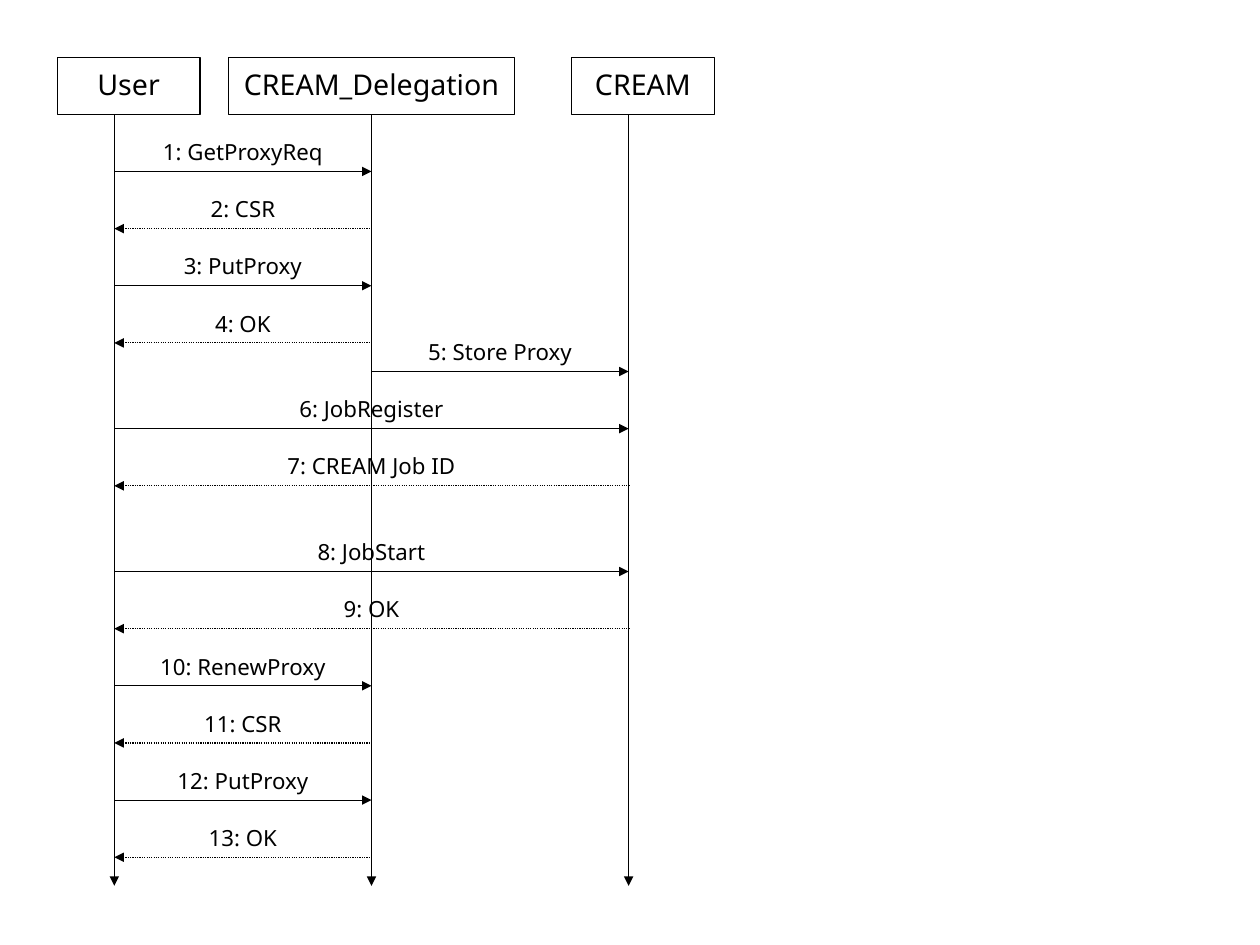
from lxml.etree import SubElement
from pptx import Presentation
from pptx.dml.color import RGBColor
from pptx.enum.dml import MSO_LINE as Dash
from pptx.enum.shapes import MSO_CONNECTOR as Connector, MSO_SHAPE as Preset
from pptx.enum.text import MSO_ANCHOR as Anchor, MSO_AUTO_SIZE as AutoSize, PP_ALIGN as Align
from pptx.oxml.ns import qn
from pptx.util import Pt

FONT = "Noto Sans"
INK = "000000"
PAPER = "FFFFFF"
LINE_WIDTH = 0.75
LABEL_HEIGHT = 24

PARTICIPANTS = [
    ("User", 36, 90, 72),
    ("CREAM_Delegation", 144, 180, 234),
    ("CREAM", 360, 90, 396),
]
LIFELINES = {name: lifeline for name, _, _, lifeline in PARTICIPANTS}
MESSAGES = [
    ("1: GetProxyReq", "User", "CREAM_Delegation", 108, False),
    ("2: CSR", "User", "CREAM_Delegation", 144, True),
    ("3: PutProxy", "User", "CREAM_Delegation", 180, False),
    ("4: OK", "User", "CREAM_Delegation", 216, True),
    ("5: Store Proxy", "CREAM_Delegation", "CREAM", 234, False),
    ("6: JobRegister", "User", "CREAM", 270, False),
    ("7: CREAM Job ID", "User", "CREAM", 306, True),
    ("8: JobStart", "User", "CREAM", 360, False),
    ("9: OK", "User", "CREAM", 396, True),
    ("10: RenewProxy", "User", "CREAM_Delegation", 432, False),
    ("11: CSR", "User", "CREAM_Delegation", 468, True),
    ("12: PutProxy", "User", "CREAM_Delegation", 504, False),
    ("13: OK", "User", "CREAM_Delegation", 540, True),
]


def color(value):
    """Turn a hex string into a colour."""
    return RGBColor.from_string(value)


def write(shape, text, size, anchor, wrap):
    """Put one centred line of text into a shape."""
    frame = shape.text_frame
    frame.word_wrap = wrap
    frame.vertical_anchor = anchor
    paragraph = frame.paragraphs[0]
    paragraph.alignment = Align.CENTER
    paragraph.line_spacing = 0.97
    run = paragraph.add_run()
    run.text = text
    run.font.name = FONT
    run.font.size = Pt(size)
    run.font.color.rgb = color(INK)


def add_arrow(shapes, start, end, reply=False):
    """Draw a solid arrow, or a dotted one pointing back to its start."""
    arrow = shapes.add_connector(Connector.STRAIGHT, *map(Pt, start + end))
    arrow.line.color.rgb = color(INK)
    arrow.line.width = Pt(LINE_WIDTH)
    if reply:
        arrow.line.dash_style = Dash.ROUND_DOT
    properties = arrow._element.spPr
    tip = "a:headEnd" if reply else "a:tailEnd"
    SubElement(properties.find(qn("a:ln")), qn(tip), type="triangle")
    SubElement(properties, qn("a:effectLst"))
    return arrow


def add_participant(slide, name, left, top, width, height, lifeline, bottom):
    """Draw a named box with the lifeline that hangs from it."""
    box = slide.shapes.add_shape(Preset.RECTANGLE, Pt(left), Pt(top), Pt(width), Pt(height))
    box.shadow.inherit = False
    box.fill.background()
    box.line.color.rgb = color(INK)
    box.line.width = Pt(LINE_WIDTH)
    write(box, name, 18, Anchor.MIDDLE, False)
    arrow = add_arrow(slide.shapes, (lifeline, top + height), (lifeline, bottom))
    if lifeline == left + width / 2:
        arrow.begin_connect(box, 2)


def add_message(slide, text, left, right, level, reply):
    """Group a message arrow with the label that stands on it."""
    shapes = slide.shapes.add_group_shape().shapes
    add_arrow(shapes, (left, level), (right, level), reply)
    label = shapes.add_textbox(
        Pt(left), Pt(level - LABEL_HEIGHT), Pt(right - left), Pt(LABEL_HEIGHT))
    write(label, text, 14, Anchor.BOTTOM, True)
    label.text_frame.auto_size = AutoSize.SHAPE_TO_FIT_TEXT


def add_sequence_diagram(slide):
    """Draw the participants and the messages between them."""
    for name, left, width, lifeline in PARTICIPANTS:
        add_participant(slide, name, left, 36, width, 36, lifeline, 558)
    for text, first, second, level, reply in MESSAGES:
        add_message(slide, text, LIFELINES[first], LIFELINES[second], level, reply)


def main():
    """Build the presentation and save it."""
    presentation = Presentation()
    presentation.slide_width = Pt(793.7)
    presentation.slide_height = Pt(595.28)
    slide = presentation.slides.add_slide(presentation.slide_layouts[6])
    slide.background.fill.solid()
    slide.background.fill.fore_color.rgb = color(PAPER)
    add_sequence_diagram(slide)
    presentation.save("out.pptx")


if __name__ == "__main__":
    main()
